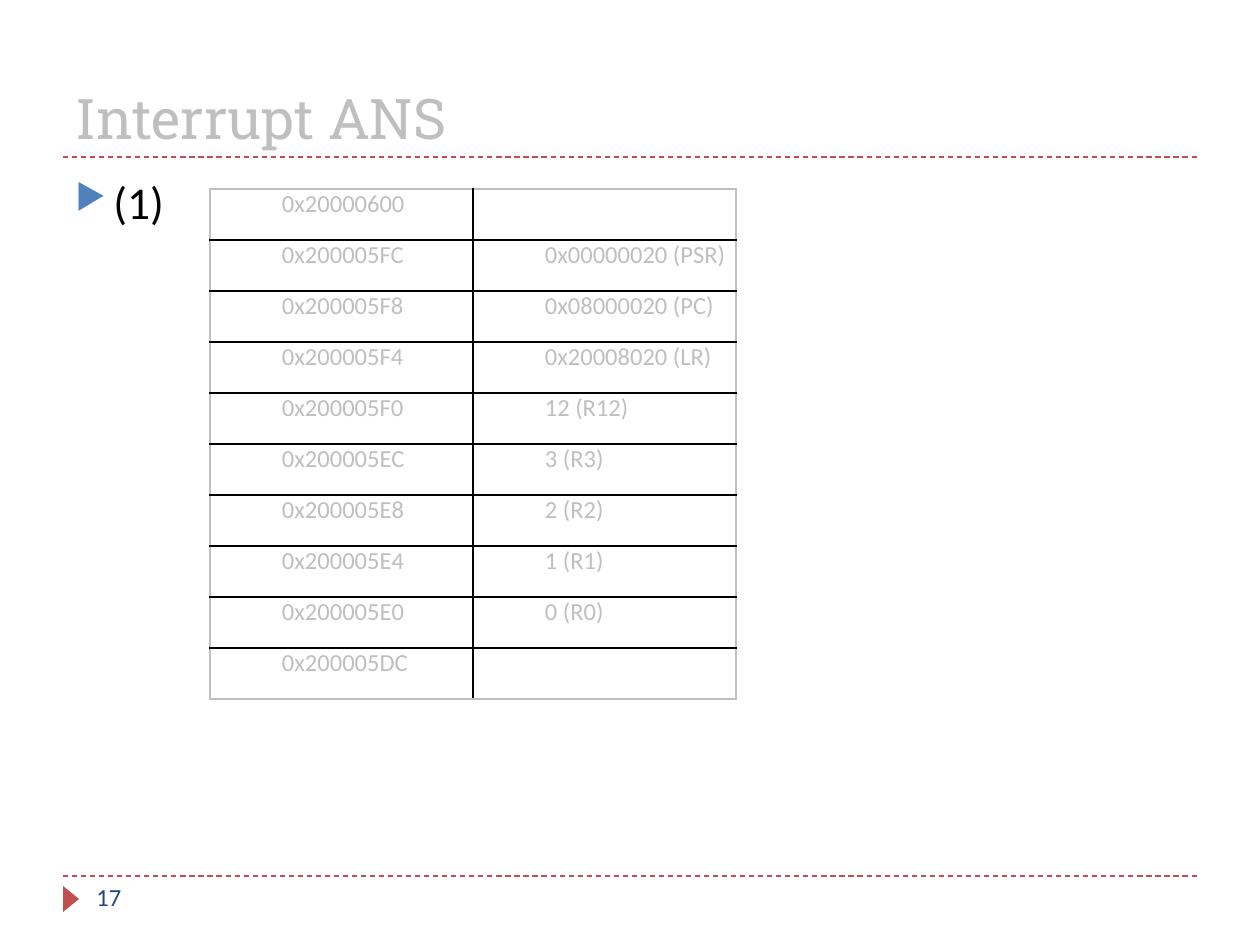
from pptx import Presentation
from pptx.dml.color import RGBColor
from pptx.enum.dml import MSO_LINE
from pptx.enum.shapes import MSO_CONNECTOR, MSO_SHAPE
from pptx.enum.text import MSO_ANCHOR
from pptx.oxml import parse_xml
from pptx.oxml.ns import nsdecls
from pptx.util import Pt

DASH = MSO_LINE.DASH
LINE = MSO_CONNECTOR.STRAIGHT
TRI = MSO_SHAPE.ISOSCELES_TRIANGLE
TOP, LOW = MSO_ANCHOR.TOP, MSO_ANCHOR.BOTTOM

RED = RGBColor(0xC0, 0x50, 0x4D)
BLUE = RGBColor(0x4F, 0x81, 0xBD)
NAVY = RGBColor(0x1F, 0x49, 0x7D)
GRAY = RGBColor(0xBF, 0xBF, 0xBF)
BLACK = RGBColor(0, 0, 0)

TEXTS = [
    ("Interrupt ANS", (63, 21, 1134, 136), LOW, None,
     {"size": Pt(32), "name": "Roboto Slab"}, GRAY),
    ("17", (84, 876, 273, 50), TOP, None,
     {"size": Pt(14), "name": "Calibri"}, NAVY),
    ("(1)", (63, 168, 1134, 680), TOP, "▶",
     {"size": Pt(26), "name": "Calibri"}, BLACK),
]
RULES = [157, 876]
STACK = [
    ("0x20000600", ""),
    ("0x200005FC", "0x00000020 (PSR)"),
    ("0x200005F8", "0x08000020 (PC)"),
    ("0x200005F4", "0x20008020 (LR)"),
    ("0x200005F0", "12 (R12)"),
    ("0x200005EC", "3 (R3)"),
    ("0x200005E8", "2 (R2)"),
    ("0x200005E4", "1 (R1)"),
    ("0x200005E0", "0 (R0)"),
    ("0x200005DC", ""),
]
CELL = {"size": Pt(14), "name": "Calibri"}
LEFT, HEAD, COL, ROW = 210, 189, 263, 51
INDENT = 63
HANG = 38


def px(n):
    return round(n * 914400 / 126)


def style(font, form, color):
    for key, val in form.items():
        setattr(font, key, val)
    font.color.rgb = color


def bullet(para, mark):
    props = para._p.get_or_add_pPr()
    props.set("marL", str(px(HANG)))
    props.set("indent", str(-px(HANG)))
    for xml in (
        f'<a:buClr {nsdecls("a")}><a:srgbClr val="{BLUE}"/></a:buClr>',
        f'<a:buSzPct {nsdecls("a")} val="76000"/>',
        f'<a:buChar {nsdecls("a")} char="{mark}"/>',
    ):
        props.append(parse_xml(xml))


def add_text(shapes, text, box, anchor, mark, form, color):
    frame = shapes.add_textbox(*map(px, box)).text_frame
    frame.word_wrap = True
    frame.vertical_anchor = anchor
    para = frame.paragraphs[0]
    if mark:
        bullet(para, mark)
    run = para.add_run()
    run.text = text
    style(run.font, form, color)


def add_rule(shapes, y):
    rule = shapes.add_connector(LINE, px(63), px(y), px(1197), px(y))
    rule.line.color.rgb = RED
    rule.line.width = Pt(0.75)
    rule.line.dash_style = DASH
    rule._element.spPr.append(parse_xml(f'<a:effectLst {nsdecls("a")}/>'))


def add_edges(cell, outer):
    props = cell._tc.get_or_add_tcPr()
    for side, out in zip("LRTB", outer):
        color = GRAY if out else BLACK
        props.append(parse_xml(
            f'<a:ln{side} {nsdecls("a")} w="{Pt(1)}"><a:solidFill>'
            f'<a:srgbClr val="{color}"/></a:solidFill></a:ln{side}>'))


def add_stack(shapes):
    rows, cols = len(STACK), len(STACK[0])
    table = shapes.add_table(rows, cols, px(LEFT), px(HEAD),
                             px(COL * cols), px(ROW * rows)).table
    table.first_row = table.horz_banding = False
    for r, line in enumerate(STACK):
        for c, text in enumerate(line):
            cell = table.cell(r, c)
            cell.margin_left = cell.margin_right = px(9)
            cell.margin_top = cell.margin_bottom = 0
            add_edges(cell, (c == 0, c == cols - 1, r == 0, r == rows - 1))
            cell.fill.background()
            para = cell.text_frame.paragraphs[0]
            para._p.get_or_add_pPr().set("marL", str(px(INDENT)))
            if text:
                run = para.add_run()
                run.text = text
                style(run.font, CELL, GRAY)


def main():
    deck = Presentation()
    deck.slide_width, deck.slide_height = px(1260), px(945)
    shapes = deck.slides.add_slide(deck.slide_layouts[6]).shapes
    for y in RULES:
        add_rule(shapes, y)
    arrow = shapes.add_shape(TRI, px(58), px(891), px(26), px(16))
    arrow.rotation = 90
    arrow.shadow.inherit = False
    arrow.fill.solid()
    arrow.fill.fore_color.rgb = RED
    arrow.line.fill.background()
    for item in TEXTS:
        add_text(shapes, *item)
    add_stack(shapes)
    deck.save("out.pptx")


if __name__ == "__main__":
    main()
